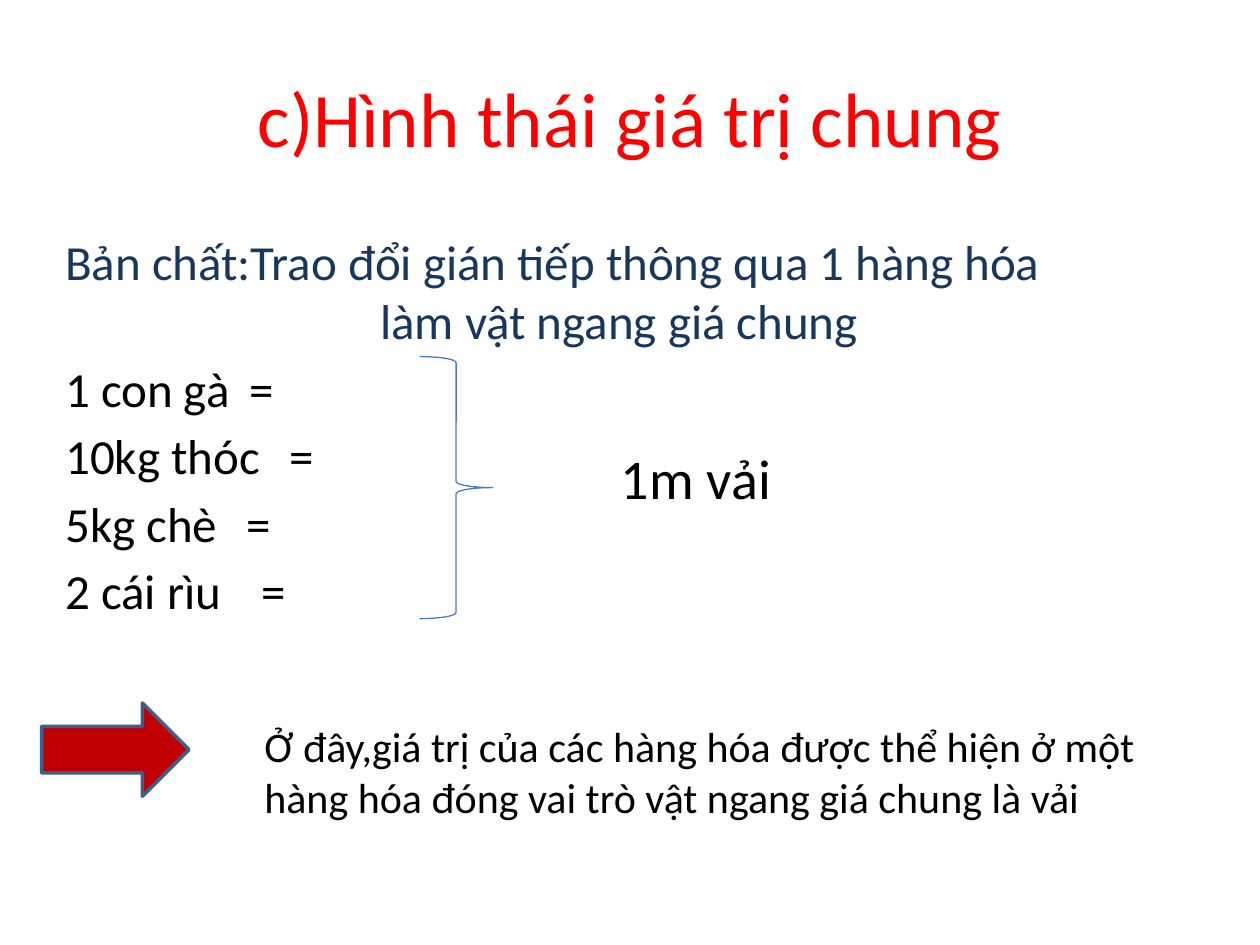
import pptx
import pptx.dml.color
import pptx.enum.shapes
import pptx.enum.text
import pptx.oxml
import pptx.util
from lxml import etree

Inches = pptx.util.Inches
Pt = pptx.util.Pt
RGBColor = pptx.dml.color.RGBColor
MSO_SHAPE = pptx.enum.shapes.MSO_SHAPE
ALIGN = pptx.enum.text.PP_ALIGN
ANCHOR = pptx.enum.text.MSO_ANCHOR

RED = RGBColor(0xFF, 0x00, 0x00)
NAVY = RGBColor(0x17, 0x37, 0x5E)
BLACK = RGBColor(0x00, 0x00, 0x00)
BRACE_BLUE = RGBColor(0x4B, 0x7E, 0xBC)
ARROW_RED = RGBColor(0xC0, 0x00, 0x00)
ARROW_EDGE = RGBColor(0x3A, 0x5F, 0x8C)
NS = "http://schemas.openxmlformats.org/drawingml/2006/main"

GOODS = [
    ("1 con gà", 1.46),
    ("10kg thóc", 1.78),
    ("5kg chè", 1.44),
    ("2 cái rìu", 1.56),
]


def add_text_box(s, x, y, w, h, anchor=ANCHOR.TOP):
    tf = s.shapes.add_textbox(Inches(x), Inches(y), Inches(w), Inches(h)).text_frame
    tf.word_wrap = True
    tf.vertical_anchor = anchor
    return tf


def write(p, text, size=28, color=BLACK, align=ALIGN.LEFT, before=0):
    p.text = text
    p.alignment = align
    p.space_before = Pt(before)
    p.font.size = Pt(size)
    for r in p.runs:
        r.font.size = Pt(size)
        r.font.name = "Calibri"
        r.font.color.rgb = color


def set_hanging(p, length):
    pPr = p._p.get_or_add_pPr()
    pPr.set("marL", str(Inches(length)))
    pPr.set("indent", str(-Inches(length)))


def set_tab(p, pos):
    tabs = etree.SubElement(p._p.get_or_add_pPr(), f"{{{NS}}}tabLst")
    etree.SubElement(tabs, f"{{{NS}}}tab", pos=str(Inches(pos)), algn="l")


def add_outlined(s, kind, x, y, w, h, line, width, fill=None):
    sp = s.shapes.add_shape(kind, Inches(x), Inches(y), Inches(w), Inches(h))
    sp.shadow.inherit = False
    if fill is None:
        sp.fill.background()
    else:
        sp.fill.solid()
        sp.fill.fore_color.rgb = fill
    sp.line.color.rgb = line
    sp.line.width = Pt(width)


def add_title(s, x, y, w, h):
    tf = add_text_box(s, x, y, w, h, ANCHOR.MIDDLE)
    write(tf.paragraphs[0], "c)Hình thái giá trị chung", size=44, color=RED, align=ALIGN.CENTER)


def add_exchange(s, x, y, w, h):
    tf = add_text_box(s, x, y, w, h)
    p = tf.paragraphs[0]
    write(p, "Bản chất:Trao đổi gián tiếp thông qua 1 hàng hóa\vlàm vật ngang giá chung",
          color=NAVY, before=5)
    set_hanging(p, 2.5)
    for good, tab in GOODS:
        p = tf.add_paragraph()
        write(p, f"{good}\t=", before=5)
        set_tab(p, tab)
    add_outlined(s, MSO_SHAPE.RIGHT_BRACE, x + 2.91, y + 1.04, 0.58, 2.08, BRACE_BLUE, 0.75)
    tf = add_text_box(s, x + 4.41, y + 1.68, 2.08, 0.64)
    write(tf.paragraphs[0], "1m vải", size=32)


def add_conclusion(s, x, y, w, h):
    add_outlined(s, MSO_SHAPE.RIGHT_ARROW, x, y, 1.17, 0.74, ARROW_EDGE, 2, ARROW_RED)
    tf = add_text_box(s, x + 1.67, y + 0.09, w - 1.67, h - 0.09)
    write(tf.paragraphs[0],
          "Ở đây,giá trị của các hàng hóa được thể hiện ở một "
          "hàng hóa đóng vai trò vật ngang giá chung là vải", size=24)


def main():
    prs = pptx.Presentation()
    prs.slide_width, prs.slide_height = Inches(10), Inches(7.5)
    s = prs.slides.add_slide(prs.slide_layouts[6])
    add_title(s, 0.5, 0.3, 9, 1.25)
    add_exchange(s, 0.42, 1.79, 9, 3.71)
    add_conclusion(s, 0.33, 5.58, 8.84, 1.4)
    prs.save("out.pptx")


if __name__ == "__main__":
    main()
